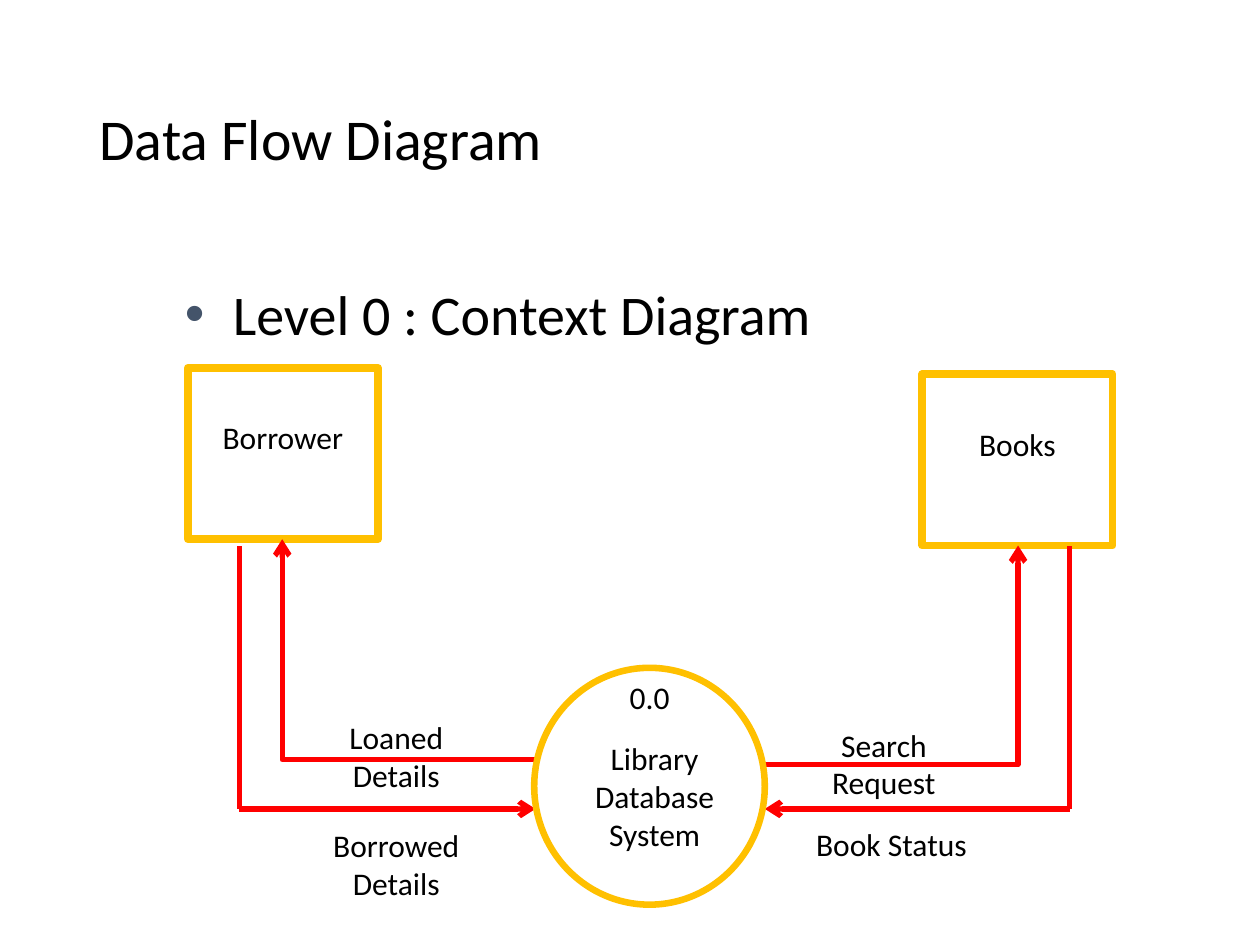
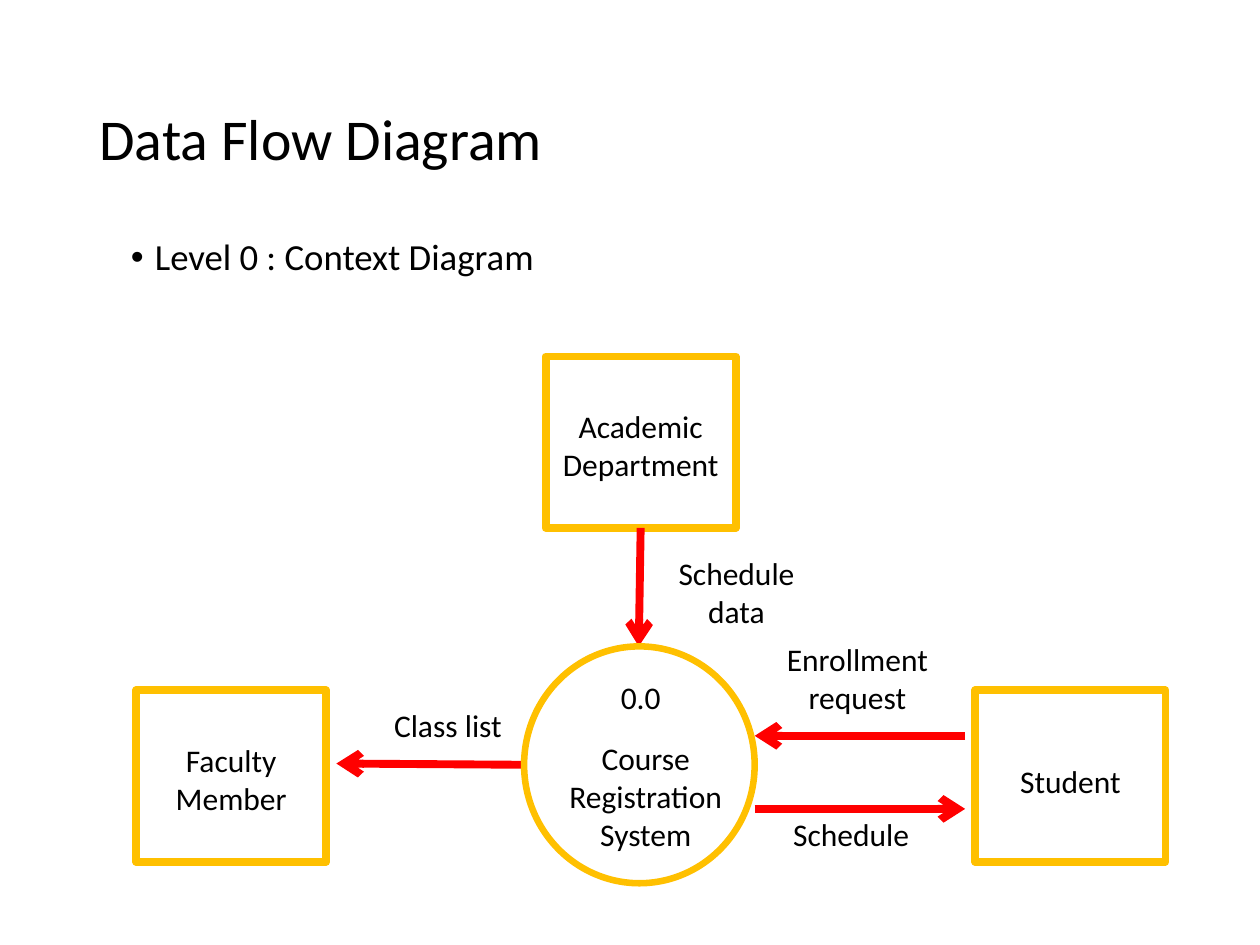
import pptx
import pptx.util
import pptx.dml.color
import pptx.enum.shapes
import pptx.enum.text
import pptx.oxml
import pptx.oxml.ns
from lxml import etree

# The slide is a grid of 100 columns by 75 rows; all places are (column, row).
COLUMNS, ROWS = 100, 75
SLIDE_WIDTH, SLIDE_HEIGHT = pptx.util.Inches(10), pptx.util.Inches(7.5)
COLORS = {"text": "000000", "outline": "FFC000", "flow": "FF0000", "bullet": "44546A"}
FONT = "Calibri"
LABEL_SIZE = 18
ENTITY = (15.1, 13.6)
PROCESS = (18.3, 18.8)
LINE_ROWS, LABEL_MARGIN_ROWS = 3.05, 1

SHAPES = pptx.enum.shapes.MSO_SHAPE
CONNECTORS = pptx.enum.shapes.MSO_CONNECTOR
ALIGN = pptx.enum.text.PP_ALIGN
ANCHOR = pptx.enum.text.MSO_ANCHOR
qn = pptx.oxml.ns.qn


def color(name):
    return pptx.dml.color.RGBColor.from_string(COLORS[name])


def grid(column, row):
    """Turn grid columns and rows into slide lengths."""
    return round(column * SLIDE_WIDTH / COLUMNS), round(row * SLIDE_HEIGHT / ROWS)


def add_text(slide, text, place, extent, size=LABEL_SIZE, align=ALIGN.LEFT, anchor=ANCHOR.TOP):
    """Add a text box with one paragraph for each line of text."""
    frame = slide.shapes.add_textbox(*grid(*place), *grid(*extent)).text_frame
    frame.word_wrap = True
    frame.vertical_anchor = anchor
    for number, line in enumerate(text.split("\n")):
        paragraph = frame.add_paragraph() if number else frame.paragraphs[0]
        paragraph.alignment = align
        run = paragraph.add_run()
        run.text = line
        run.font.name = FONT
        run.font.size = pptx.util.Pt(size)
        run.font.color.rgb = color("text")
    return frame


def add_title(slide):
    frame = add_text(slide, "Data Flow Diagram", (6.9, 4), (86.2, 14.5), 33, anchor=ANCHOR.MIDDLE)
    frame.paragraphs[0].line_spacing = 0.9


def add_level(slide, place, extent, size, indent, bullet_color, line_spacing=1.0):
    """Add the bulleted line that names the diagram's level."""
    frame = add_text(slide, "Level 0 : Context Diagram", place, extent, size)
    paragraph = frame.paragraphs[0]
    paragraph.line_spacing = line_spacing
    properties = paragraph._p.get_or_add_pPr()
    hanging = pptx.util.Inches(indent)
    properties.set("marL", str(hanging))
    properties.set("indent", str(-hanging))
    fill = etree.SubElement(properties, qn("a:buClr"))
    etree.SubElement(fill, qn("a:srgbClr"), val=COLORS[bullet_color])
    etree.SubElement(properties, qn("a:buFont"), typeface="Arial")
    etree.SubElement(properties, qn("a:buChar"), char="•")


def add_label(slide, text, place, lines=1, columns=15.1):
    extent = (columns, lines * LINE_ROWS + LABEL_MARGIN_ROWS)
    add_text(slide, text, place, extent, align=ALIGN.CENTER)


def add_outline(slide, kind, place, extent, weight):
    outline = slide.shapes.add_shape(kind, *grid(*place), *grid(*extent))
    outline.shadow.inherit = False
    outline.fill.background()
    outline.line.color.rgb = color("outline")
    outline.line.width = pptx.util.Pt(weight)
    return outline


def add_entity(slide, name, place, lines=1, label_drop=3.5):
    """Add an external entity: a square with its name some rows below the top."""
    square = add_outline(slide, SHAPES.RECTANGLE, place, ENTITY, 4.5)
    add_label(slide, name, (place[0], place[1] + label_drop), lines)
    return square


def add_process(slide, name, place, number_column, name_column):
    """Add the central process: a circle with its number and name."""
    add_label(slide, "0.0", (number_column, 53.3))
    add_label(slide, name, (name_column, 58.2), lines=3, columns=18.9)
    add_outline(slide, SHAPES.OVAL, place, PROCESS, 3.75)


def add_flow(slide, start, end, weight, arrow=True, corner=False):
    """Add a data flow; with a corner it runs sideways first, then upwards."""
    kind = CONNECTORS.ELBOW if corner else CONNECTORS.STRAIGHT
    flow = slide.shapes.add_connector(kind, *grid(*start), *grid(*end))
    flow.line.color.rgb = color("flow")
    flow.line.width = pptx.util.Pt(weight)
    properties = flow._element.spPr
    if corner:
        properties.find(qn("a:prstGeom")).set("prst", "bentConnector2")
    if arrow:
        etree.SubElement(flow.line._get_or_add_ln(), qn("a:tailEnd"), type="arrow")
    etree.SubElement(properties, qn("a:effectLst"))
    return flow


def build_library(slide):
    add_title(slide)
    add_level(slide, (13.7, 21.7), (85, 45), 32, 0.38, "bullet")
    add_entity(slide, "Borrower", (14.9, 29.2))
    add_entity(slide, "Books", (73.2, 29.7))

    left, right, lower = 42.5, 60.7, 64.2
    add_flow(slide, (right, 60.7), (80.8, 43.3), 3, corner=True)
    add_flow(slide, (left, 60.3), (22.4, 42.8), 3, corner=True)
    for outer, inner in ((19, left), (84.9, right)):
        add_flow(slide, (outer, lower), (inner, lower), 3)
        add_flow(slide, (outer, lower), (outer, 43.3), 3, arrow=False)

    add_label(slide, "Loaned Details", (23.9, 56.5), lines=2)
    add_label(slide, "Borrowed Details", (23.9, 65.1), lines=2)
    add_label(slide, "Search Request", (62.6, 57.1), lines=2)
    add_label(slide, "Book Status", (63.2, 65))
    add_process(slide, "Library\nDatabase\nSystem", (42.4, 53), 44, 42.5)


def build_registration(slide):
    add_title(slide)
    add_level(slide, (9.4, 18.5), (81.2, 38.7), 21, 0.19, "text", 0.9)
    add_entity(slide, "Faculty\nMember", (10.8, 54.8), lines=2)
    add_entity(slide, "Student", (77.4, 54.8), label_drop=5.2)
    department = add_entity(slide, "Academic Department", (43.3, 28.3), lines=2)

    schedule_data = add_flow(slide, (50.9, 41.9), (50.7, 51.3), 4.5)
    schedule_data.begin_connect(department, 2)
    add_flow(slide, (76.6, 58.4), (59.9, 58.4), 4.5)
    add_flow(slide, (59.9, 64.2), (76.6, 64.2), 4.5)
    add_flow(slide, (41.6, 60.7), (26.7, 60.6), 4.5)

    add_label(slide, "Schedule data", (50.9, 43.5), lines=2)
    add_label(slide, "Enrollment\nrequest", (60.5, 50.3), lines=2)
    add_label(slide, "Schedule", (60, 64.2))
    add_label(slide, "Class list", (28, 55.5))
    add_process(slide, "Course\nRegistration\nSystem", (41.6, 51.3), 43.3, 41.8)


def main():
    deck = pptx.Presentation()
    deck.slide_width, deck.slide_height = SLIDE_WIDTH, SLIDE_HEIGHT
    blank = deck.slide_layouts[6]
    for build in (build_library, build_registration):
        build(deck.slides.add_slide(blank))
    deck.save("out.pptx")


if __name__ == "__main__":
    main()
